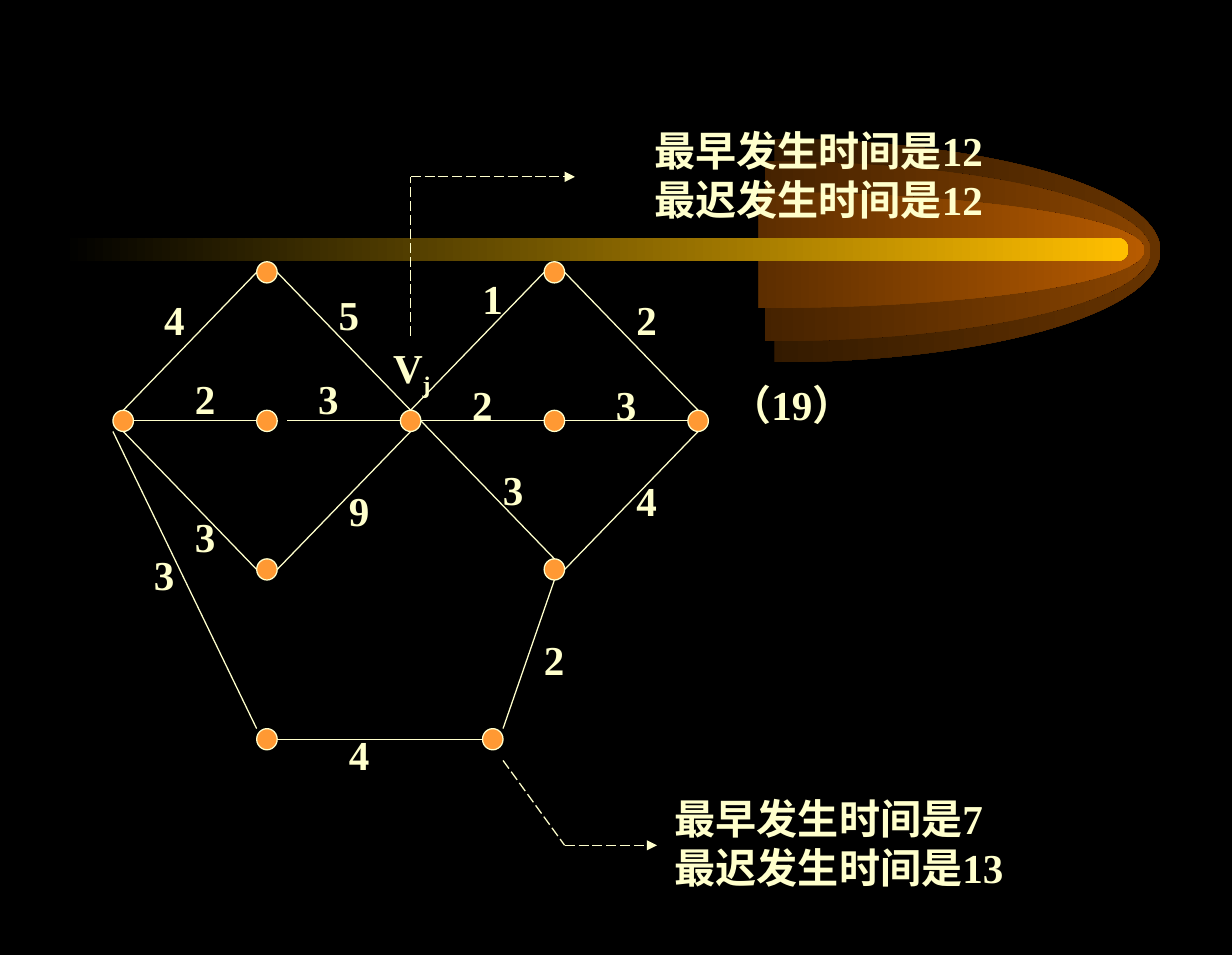
from dataclasses import dataclass

import pptx
import pptx.dml.color
import pptx.enum.dml
import pptx.enum.shapes
import pptx.oxml
import pptx.oxml.ns
import pptx.util


@dataclass(frozen=True)
class Theme:
    background: str = "000000"
    ink: str = "FFFFCC"
    node: str = "FF9933"
    beam: str = "FFBF00"
    font: str = "Times New Roman"
    text_size: int = 24
    line_width: float = 0.75


THEME = Theme()
WIDTH, HEIGHT = 10, 7.75
COLUMN, ROW = WIDTH / 120, HEIGHT / 90
ROW_ORIGIN = -ROW / 3

NODES = {
    "start": (12, 40),
    "middle left": (26, 40),
    "hub": (40, 40),
    "middle right": (54, 40),
    "finish": (68, 40),
    "top left": (26, 26),
    "low right": (54, 54),
    "top right": (54, 26),
    "low left": (26, 54),
    "bottom left": (26, 70),
    "bottom right": (48, 70),
}
UP, DOWN, LEFT, RIGHT = (0, -1), (0, 1), (-1, 0), (1, 0)
EDGES = [
    ("start", UP, "top left", LEFT),
    ("top left", RIGHT, "hub", UP),
    ("start", RIGHT, "middle left", LEFT),
    ("middle left", (2, 0), "hub", LEFT),
    ("start", DOWN, "low left", LEFT),
    ("low left", RIGHT, "hub", DOWN),
    ("hub", RIGHT, "middle right", LEFT),
    ("middle right", RIGHT, "finish", LEFT),
    ("hub", RIGHT, "low right", UP),
    ("low right", RIGHT, "finish", DOWN),
    ("hub", UP, "top right", LEFT),
    ("top right", RIGHT, "finish", UP),
    ("start", (-1, 1), "bottom left", (-1, -1)),
    ("bottom left", RIGHT, "bottom right", LEFT),
    ("bottom right", (1, -1), "low right", DOWN),
]
WEIGHTS = [
    ("3", 13.8, 51.5), ("3", 17.8, 48), ("9", 32.8, 45.5),
    ("2", 17.8, 35), ("3", 29.8, 35), ("4", 14.8, 27.5),
    ("5", 31.8, 27), ("1", 45.8, 25.5), ("2", 60.8, 27.5),
    ("2", 44.8, 35.5), ("3", 58.8, 35.5), ("3", 47.8, 43.5),
    ("4", 60.8, 44.6), ("4", 32.8, 68.5), ("2", 51.8, 59.6),
]
POINTERS = [
    [(40, 32), (40, 17), (56, 17)],
    [(49, 72), (55, 80), (64, 80)],
]
FLAMES = [
    (6.29, 1.13, 1.81, "663300"),
    (6.21, 1.31, 1.46, "894400"),
    (6.16, 1.56, 0.94, "B75B00"),
]
FLAME_LENGTH = 3.13


def rgb(value):
    return pptx.dml.color.RGBColor.from_string(value)


def inches(*values):
    return [pptx.util.Inches(value) for value in values]


def grid(column, row):
    return inches(column * COLUMN, ROW_ORIGIN + row * ROW)


def fade_in(shape, color):
    shape.shadow.inherit = False
    shape.line.fill.background()
    shape.fill.gradient()
    shape.fill.gradient_angle = 0
    for stop, position, value in zip(
        shape.fill.gradient_stops, (0, 1), (THEME.background, color)
    ):
        stop.position = position
        stop.color.rgb = rgb(value)


def add_flame(slide, middle, top, height, color):
    flame = slide.shapes.add_shape(
        pptx.enum.shapes.MSO_SHAPE.CHORD,
        *inches(middle - FLAME_LENGTH, top, 2 * FLAME_LENGTH, height)
    )
    flame.adjustments[0] = 162
    flame.adjustments[1] = 54
    fade_in(flame, color)


def add_beam(slide):
    beam = slide.shapes.add_shape(
        pptx.enum.shapes.MSO_SHAPE.ROUNDED_RECTANGLE, *inches(0.5, 1.93, 8.66, 0.19)
    )
    beam.adjustments[0] = 0.5
    fade_in(beam, THEME.beam)


def add_node(slide, column, row):
    node = slide.shapes.add_shape(
        pptx.enum.shapes.MSO_SHAPE.OVAL,
        *grid(column - 1, row - 1), *inches(2 * COLUMN, 2 * ROW)
    )
    node.shadow.inherit = False
    node.fill.solid()
    node.fill.fore_color.rgb = rgb(THEME.node)
    node.line.color.rgb = rgb(THEME.ink)
    node.line.width = pptx.util.Pt(THEME.line_width)


def add_line(slide, start, end, dashed=False, arrow=False):
    line = slide.shapes.add_connector(
        pptx.enum.shapes.MSO_CONNECTOR.STRAIGHT, *grid(*start), *grid(*end)
    )
    line.line.color.rgb = rgb(THEME.ink)
    line.line.width = pptx.util.Pt(THEME.line_width)
    if dashed:
        line.line.dash_style = pptx.enum.dml.MSO_LINE.LONG_DASH
    properties = line._element.spPr
    if arrow:
        head = pptx.oxml.parse_xml(
            f'<a:tailEnd {pptx.oxml.ns.nsdecls("a")} type="triangle"/>'
        )
        properties.find(pptx.oxml.ns.qn("a:ln")).append(head)
    properties.append(
        pptx.oxml.parse_xml(f'<a:effectLst {pptx.oxml.ns.nsdecls("a")}/>')
    )


def add_edge(slide, source, source_side, target, target_side):
    start, end = (
        [center + shift for center, shift in zip(NODES[name], side)]
        for name, side in ((source, source_side), (target, target_side))
    )
    add_line(slide, start, end)


def add_label(slide, lines, column, row, width=0.4, height=0.5, subscript=""):
    box = slide.shapes.add_textbox(*grid(column, row), *inches(width, height))
    frame = box.text_frame
    frame.word_wrap = True
    frame.text = lines
    for para in frame.paragraphs:
        para.font.name = THEME.font
        para.font.size = pptx.util.Pt(THEME.text_size)
        para.font.bold = True
        para.font.color.rgb = rgb(THEME.ink)
    if subscript:
        span = frame.paragraphs[0].add_run()
        span.text = subscript
        span._r.get_or_add_rPr().set("baseline", "-25000")


def main():
    deck = pptx.Presentation()
    deck.slide_width, deck.slide_height = inches(WIDTH, HEIGHT)
    slide = deck.slides.add_slide(deck.slide_layouts[6])
    slide.background.fill.solid()
    slide.background.fill.fore_color.rgb = rgb(THEME.background)
    for flame in FLAMES:
        add_flame(slide, *flame)
    add_beam(slide)
    for center in NODES.values():
        add_node(slide, *center)
    for edge in EDGES:
        add_edge(slide, *edge)
    for weight in WEIGHTS:
        add_label(slide, *weight)
    add_label(slide, "V", 37.1, 32, 0.65, 0.56, subscript="j")
    for start, corner, end in POINTERS:
        add_line(slide, start, corner, dashed=True)
        add_line(slide, corner, end, dashed=True, arrow=True)
    add_label(slide, "最早发生时间是12\n最迟发生时间是12", 62.55, 11.6, 3.2, 0.9)
    add_label(slide, "最早发生时间是7\n最迟发生时间是13", 64.55, 74.5, 3.2, 0.9)
    add_label(slide, "（19）", 69.95, 35.5, 1.4)
    deck.save("out.pptx")


if __name__ == "__main__":
    main()
